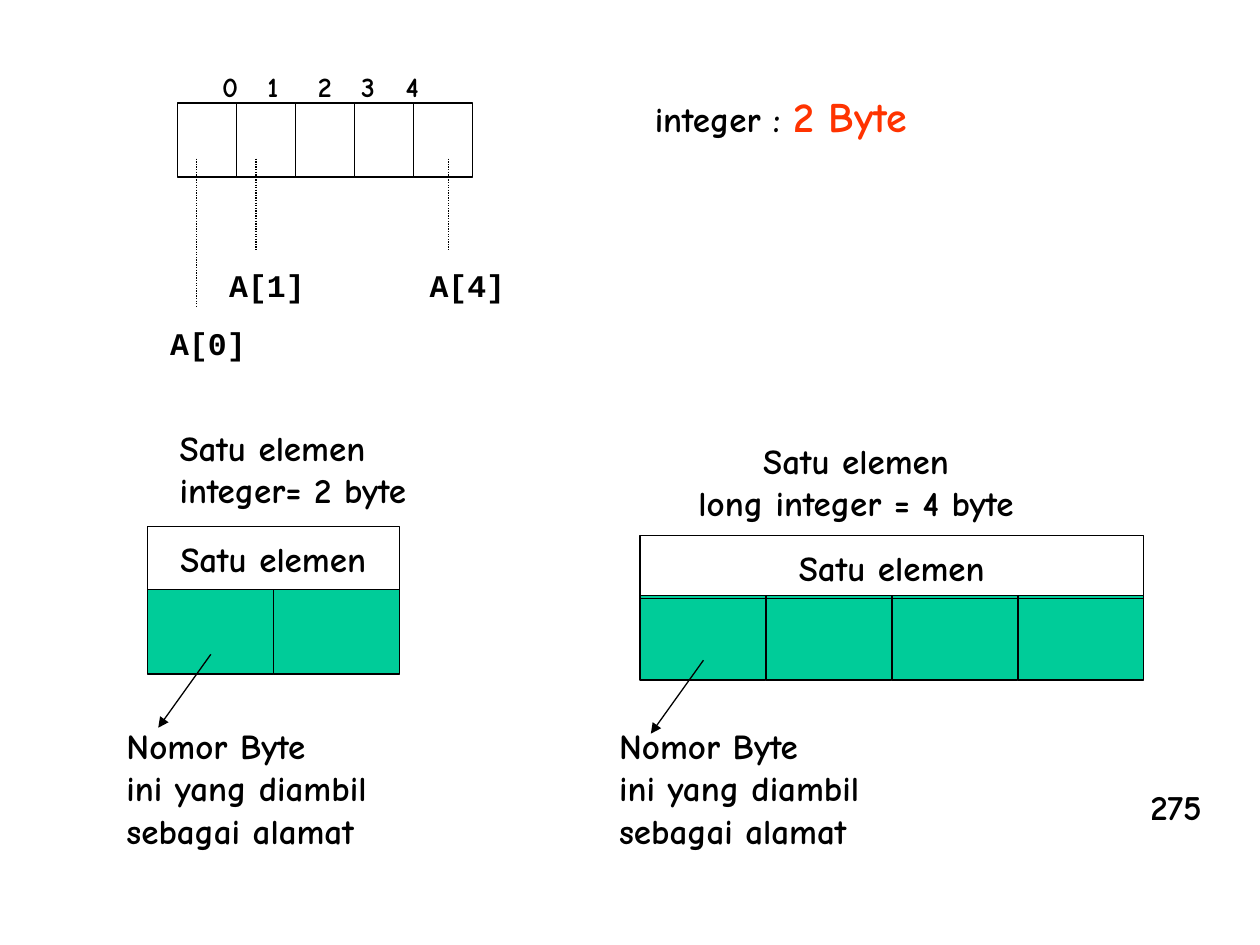
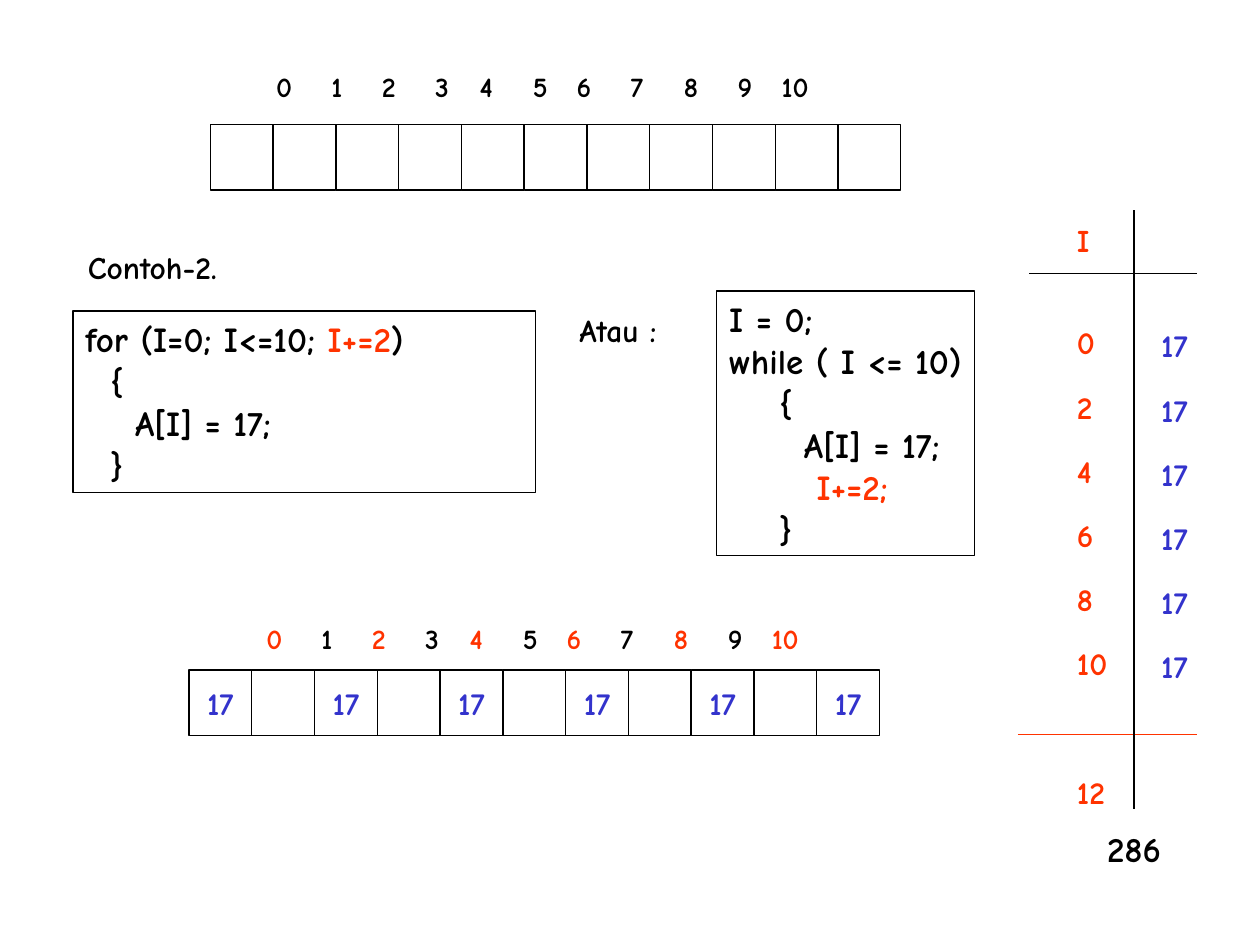
from lxml.etree import SubElement
from pptx import Presentation
from pptx.dml.color import RGBColor
from pptx.enum.dml import MSO_LINE
from pptx.enum.shapes import MSO_CONNECTOR, MSO_SHAPE
from pptx.enum.text import MSO_ANCHOR, MSO_AUTO_SIZE, PP_ALIGN
from pptx.oxml.ns import qn
from pptx.util import Cm, Pt

rgb = RGBColor.from_string
BLACK, RED, BLUE, GREEN = "000000", "FF3300", "3333CC", "00CC99"
FONT, CODE_FONT = "Comic Neue", "Courier New"
LEFT, CENTER = PP_ALIGN.LEFT, PP_ALIGN.CENTER
INSET = 0.25


def add_box(s, x, y, w, h, lines=(), size=20, color=BLACK, font=FONT,
            align=LEFT, outlined=False, fill=None, tabs=()):
    """Add a text box or outlined rectangle.

    Each line is a string or a list of (text, colour) runs; tabs are
    the centres of tab columns, measured from the slide's left edge.
    """
    place = Cm(x), Cm(y), Cm(w), Cm(h)
    if outlined:
        sp = s.shapes.add_shape(MSO_SHAPE.RECTANGLE, *place)
        sp.shadow.inherit = False
        sp.line.color.rgb = rgb(BLACK)
        sp.line.width = Pt(0.75)
        if fill:
            sp.fill.solid()
            sp.fill.fore_color.rgb = rgb(fill)
        else:
            sp.fill.background()
    else:
        sp = s.shapes.add_textbox(*place)
    tf = sp.text_frame
    tf.word_wrap = bool(tabs)
    tf.vertical_anchor = MSO_ANCHOR.MIDDLE if outlined else MSO_ANCHOR.TOP
    if not outlined:
        tf.auto_size = MSO_AUTO_SIZE.SHAPE_TO_FIT_TEXT
    for i, line in enumerate(lines):
        p = tf.add_paragraph() if i else tf.paragraphs[0]
        p.alignment = align
        if tabs:
            tab_list = SubElement(p._p.get_or_add_pPr(), qn("a:tabLst"))
            for center in tabs:
                SubElement(tab_list, qn("a:tab"), algn="ctr",
                           pos=str(Cm(center - x - INSET)))
        runs = [(line, color)] if isinstance(line, str) else line
        for text, run_color in runs:
            r = p.add_run()
            r.text = text
            r.font.name = font
            r.font.size = Pt(size)
            r.font.bold = True
            r.font.color.rgb = rgb(run_color)
    return sp


def add_line(s, x1, y1, x2, y2, color=BLACK, dotted=False, arrow=False):
    line = s.shapes.add_connector(MSO_CONNECTOR.STRAIGHT,
                                  Cm(x1), Cm(y1), Cm(x2), Cm(y2))
    line.line.color.rgb = rgb(color)
    line.line.width = Pt(0.75)
    if dotted:
        line.line.dash_style = MSO_LINE.ROUND_DOT
    if arrow:
        SubElement(line.line._get_or_add_ln(), qn("a:tailEnd"), type="triangle")
    SubElement(line._element.spPr, qn("a:effectLst"))


prs = Presentation()
prs.slide_width, prs.slide_height = Cm(25.4), Cm(19.05)
blank = prs.slide_layouts[6]

# Slide 1: array elements and their size in bytes
s = prs.slides.add_slide(blank)
for i in range(5):
    add_box(s, 3.58 + 1.19 * i, 2.08, 1.19, 1.49, outlined=True)
add_box(s, 4.01, 1.27, 5, 0.94, ["\t0\t1\t2\t3\t4"], size=16,
        tabs=(4.64, 5.5, 6.55, 7.42, 8.31))

for name, x, y, pointer_x in (("A[0]", 3.18, 6.4, 3.96),
                              ("A[1]", 4.37, 5.23, 5.16),
                              ("A[4]", 8.41, 5.23, 9.04)):
    add_box(s, x, y, 2.03, 1.02, [name], size=18, font=CODE_FONT)
    add_line(s, pointer_x, 3.2, pointer_x, y - 0.2, dotted=True)

size_note = add_box(s, 12.95, 1.7, 5.64, 1.27,
                    [[("integer : ", BLACK), ("2 Byte", RED)]])
size_note.text_frame.paragraphs[0].runs[1].font.size = Pt(24)

add_box(s, 3.37, 8.47, 5.2, 1.96, ["Satu elemen", "integer= 2 byte"])
add_box(s, 13.68, 8.73, 7.16, 1.96,
        ["Satu elemen", "long integer = 4 byte"], align=CENTER)

BYTE_W = 2.54
for x, element_y, byte_y, byte_count in ((2.97, 10.62, 11.89, 2),
                                         (12.9, 10.8, 12.01, 4)):
    for i in range(byte_count):
        add_box(s, x + BYTE_W * i, byte_y, BYTE_W, 1.7,
                outlined=True, fill=GREEN)
    add_box(s, x, element_y, BYTE_W * byte_count, 1.27, ["Satu elemen"],
            align=CENTER, outlined=True)
    add_line(s, x + 1.28, byte_y + 1.3, x + 0.22, byte_y + 2.78, arrow=True)
    add_box(s, x - 0.67, 14.49, 5.4, 2.79,
            ["Nomor Byte", "ini yang diambil", "sebagai alamat"])

add_box(s, 22.94, 15.72, 1.7, 1.12, ["275"])

# Slide 2: filling every second element with a loop
s = prs.slides.add_slide(blank)
CELLS = 11
cell_w = 13.92 / CELLS
index_centers = (5.73, 6.79, 7.84, 8.91, 9.8, 10.89,
                 11.77, 12.84, 13.93, 15.02, 16.03)
for x, y, filled in ((4.24, 2.51, False), (3.81, 13.51, True)):
    for i in range(CELLS):
        value = ["17"] if filled and i % 2 == 0 else []
        add_box(s, x + cell_w * i, y, cell_w, 1.32, value, size=18,
                color=BLUE, align=CENTER, outlined=True)
    shift = 0.2 if filled else 0
    indexes = [(f"\t{i}", RED if filled and i % 2 == 0 else BLACK)
               for i in range(CELLS)]
    add_box(s, 5.11 - shift, 12.4 if filled else 1.27, 12, 0.94, [indexes],
            size=16, tabs=[center - shift for center in index_centers])

add_box(s, 1.52, 4.88, 3.2, 1.02, ["Contoh-2."], size=18)
add_box(s, 11.43, 6.15, 2.2, 1.02, ["Atau :"], size=18)

for_code = [[("for (I=0; I<=10; ", BLACK), ("I+=2", RED), (")", BLACK)],
            "  {",
            "    A[I] = 17;",
            "  }"]
while_code = ["I = 0;",
              "while ( I <= 10)",
              "    {",
              "      A[I] = 17;",
              [("       ", BLACK), ("I+=2;", RED)],
              "    }"]
for x, y, w, h, code in ((1.47, 6.27, 9.32, 3.66, for_code),
                         (14.45, 5.87, 5.2, 5.33, while_code)):
    tf = add_box(s, x, y, w, h, code, outlined=True).text_frame
    tf.word_wrap = True
    tf.margin_right = Cm(0.05)
    tf.vertical_anchor = MSO_ANCHOR.TOP

# Trace of I and the stored values
counter = add_box(s, 21.46, 4.34, 1.2, 12.14,
                  ["I", "0", "2", "4", "6", "8", "10", "12"],
                  size=18, color=RED)
values = add_box(s, 23.16, 5.92, 1.2, 8.03, ["17"] * 6, size=18, color=BLUE)
counter_rows = counter.text_frame.paragraphs
for p in counter_rows[1:] + values.text_frame.paragraphs:
    p.line_spacing = 1.7
counter_rows[1].space_before = Pt(21.5)
counter_rows[-1].space_before = Pt(36.6)

add_line(s, 20.75, 5.51, 24.13, 5.51)
add_line(s, 20.52, 14.81, 24.13, 14.81, color=RED)
add_line(s, 22.86, 4.24, 22.86, 16.31)
add_box(s, 22.07, 16.56, 1.7, 1.12, ["286"])

prs.save("out.pptx")
